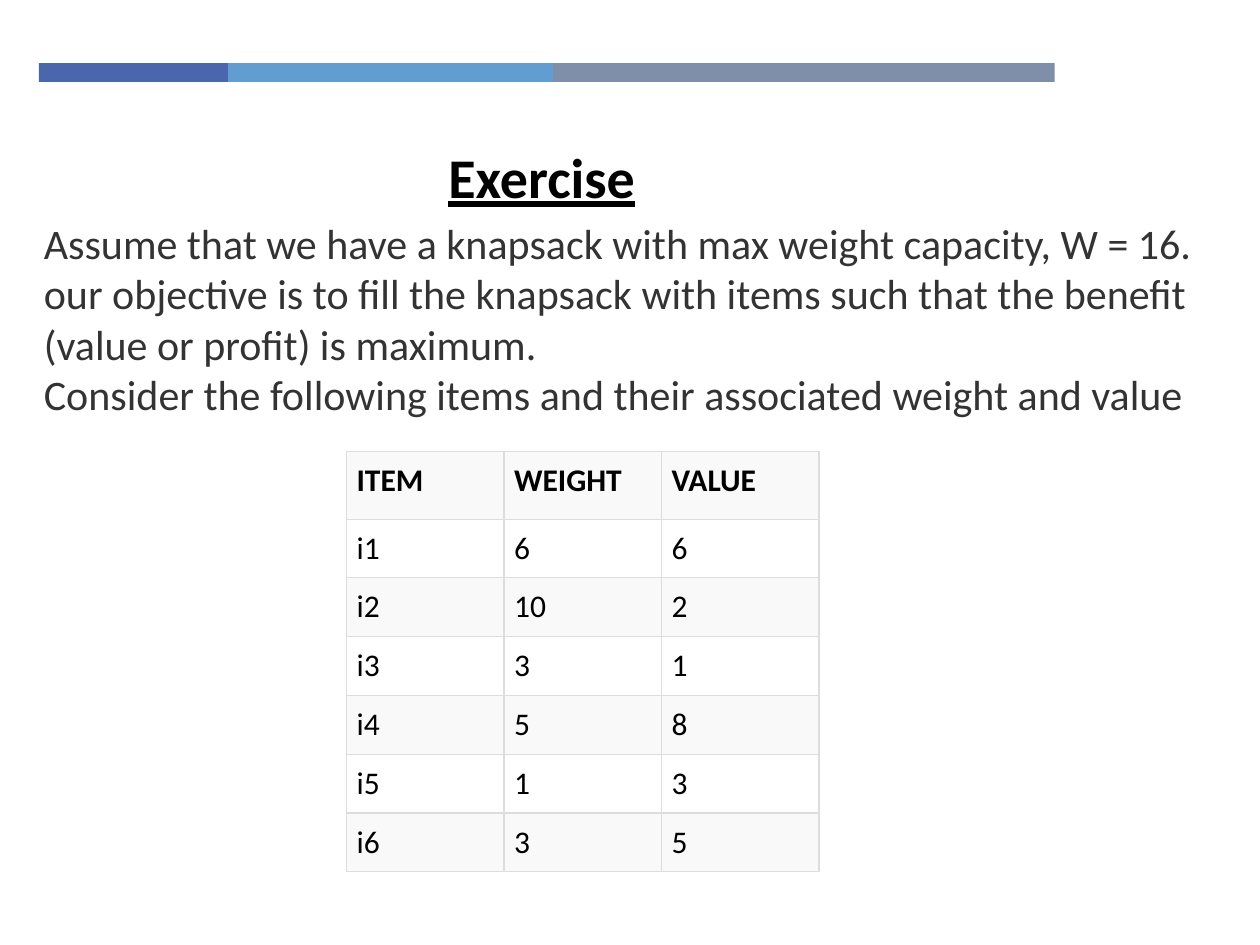
from dataclasses import dataclass

from lxml.etree import SubElement
from pptx import Presentation
from pptx.dml.color import RGBColor as RGB
from pptx.enum.shapes import MSO_SHAPE as Shape
from pptx.enum.text import MSO_ANCHOR as Anchor
from pptx.oxml.ns import qn
from pptx.util import Inches, Pt


@dataclass(frozen=True)
class Theme:
    font: str = "Calibri"
    title_size: int = 32
    body_size: int = 24
    table_size: int = 18
    black: str = "000000"
    body: str = "333333"
    border: str = "DDDDDD"
    band: str = "F9F9F9"
    plain: str = "FFFFFF"


@dataclass(frozen=True)
class Bar:
    width: float
    color: str


THEME = Theme()
BARS = [Bar(1.5, "4A66AC"), Bar(2.58, "629DD1"), Bar(3.98, "7F8FA9")]
BODY = [
    "Assume that we have a knapsack with max weight capacity, W = 16.",
    "our objective is to fill the knapsack with items such that the benefit "
    "(value or profit) is maximum.",
    "Consider the following items and their associated weight and value",
]
ITEMS = [
    ("ITEM", "WEIGHT", "VALUE"),
    ("i1", "6", "6"),
    ("i2", "10", "2"),
    ("i3", "3", "1"),
    ("i4", "5", "8"),
    ("i5", "1", "3"),
    ("i6", "3", "5"),
]


def set_font(p, size: int, color: str, bold: bool = False) -> None:
    p.font.name = THEME.font
    p.font.size = Pt(size)
    p.font.bold = bold
    p.font.color.rgb = RGB.from_string(color)


def draw_bars(slide, left: float, top: float, height: float) -> None:
    for bar in BARS:
        sp = slide.shapes.add_shape(Shape.RECTANGLE, Inches(left), Inches(top),
                                    Inches(bar.width), Inches(height))
        sp.shadow.inherit = False
        sp.fill.solid()
        sp.fill.fore_color.rgb = RGB.from_string(bar.color)
        sp.line.fill.background()
        left += bar.width


def add_text(slide, box: tuple[float, ...], lines: list[str], size: int,
             color: str, bold: bool = False, wrap: bool = True):
    tf = slide.shapes.add_textbox(*map(Inches, box)).text_frame
    tf.word_wrap = wrap
    tf.text = "\n".join(lines)
    for p in tf.paragraphs:
        set_font(p, size, color, bold)
    return tf


def add_borders(cell) -> None:
    tc_pr = cell._tc.get_or_add_tcPr()
    for i, side in enumerate(("lnL", "lnR", "lnT", "lnB")):
        ln = tc_pr.makeelement(qn(f"a:{side}"), {"w": str(Pt(0.75))})
        fill = SubElement(ln, qn("a:solidFill"))
        SubElement(fill, qn("a:srgbClr"), val=THEME.border)
        tc_pr.insert(i, ln)


def fill_cell(cell, text: str, row: int) -> None:
    cell.text = text
    cell.margin_left = cell.margin_right = Inches(0.08)
    cell.margin_top = cell.margin_bottom = Inches(0.08)
    cell.fill.solid()
    cell.fill.fore_color.rgb = RGB.from_string(THEME.plain if row % 2 else THEME.band)
    set_font(cell.text_frame.paragraphs[0], THEME.table_size, THEME.black, row == 0)
    add_borders(cell)


def draw_table(slide, left: float, top: float, width: float, height: float,
               header_height: float) -> None:
    table = slide.shapes.add_table(len(ITEMS), len(ITEMS[0]), Inches(left), Inches(top),
                                   Inches(width), Inches(height)).table
    row_height = (height - header_height) / (len(ITEMS) - 1)
    for r, values in enumerate(ITEMS):
        table.rows[r].height = Inches(row_height if r else header_height)
        for c, value in enumerate(values):
            fill_cell(table.cell(r, c), value, r)


def main() -> None:
    prs = Presentation()
    prs.slide_width, prs.slide_height = Inches(10), Inches(7.5)
    s = prs.slides.add_slide(prs.slide_layouts[6])
    draw_bars(s, 0.31, 0.5, 0.15)
    title = add_text(s, (3.46, 1.08, 1.7, 0.64), ["Exercise"],
                     THEME.title_size, THEME.black, bold=True, wrap=False)
    title.paragraphs[0].font.underline = True
    body = add_text(s, (0.25, 1.66, 9.44, 1.73), BODY, THEME.body_size, THEME.body)
    body.vertical_anchor = Anchor.MIDDLE
    draw_table(s, 2.75, 3.58, 3.75, 3.34, header_height=0.54)
    prs.save("out.pptx")


if __name__ == "__main__":
    main()
